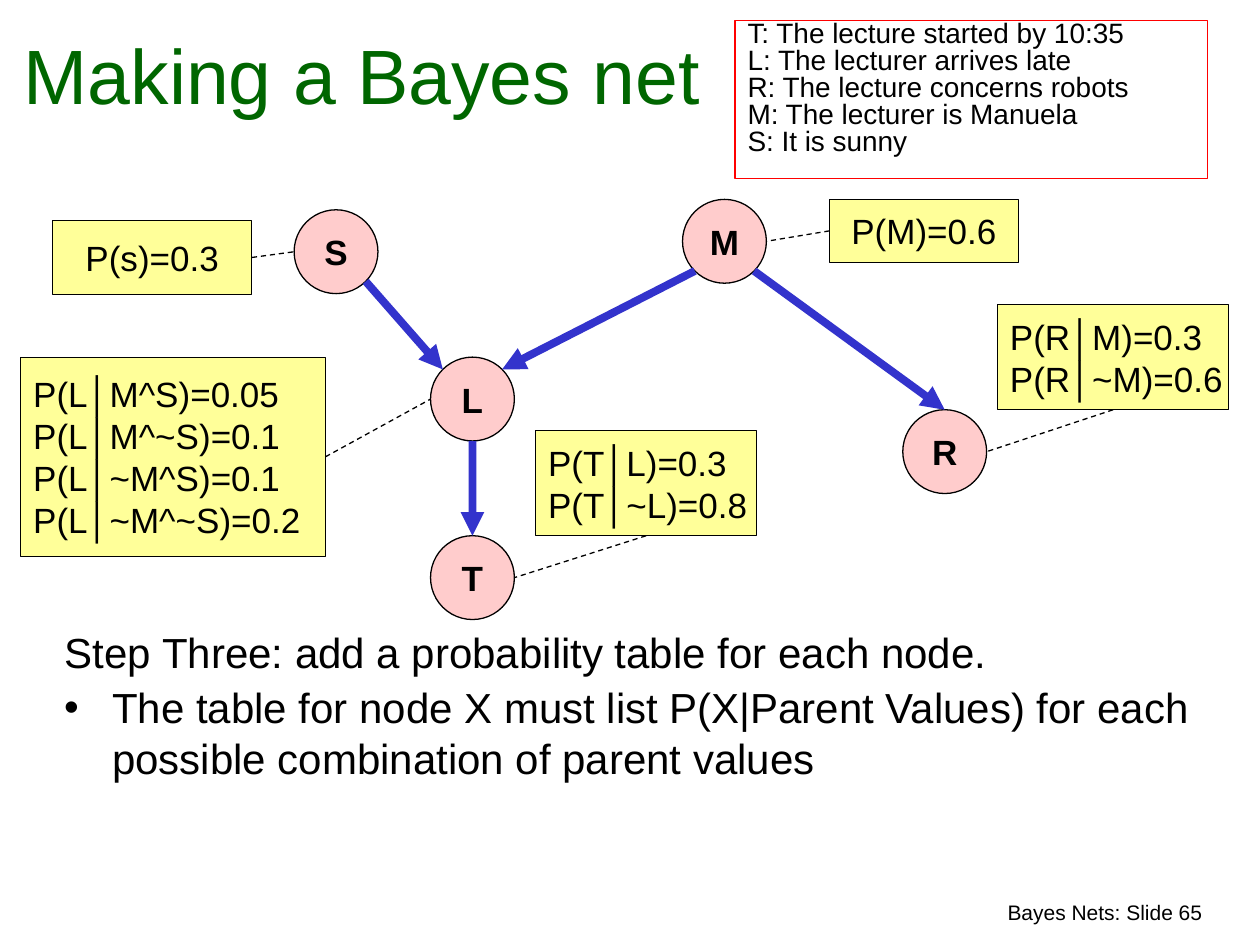
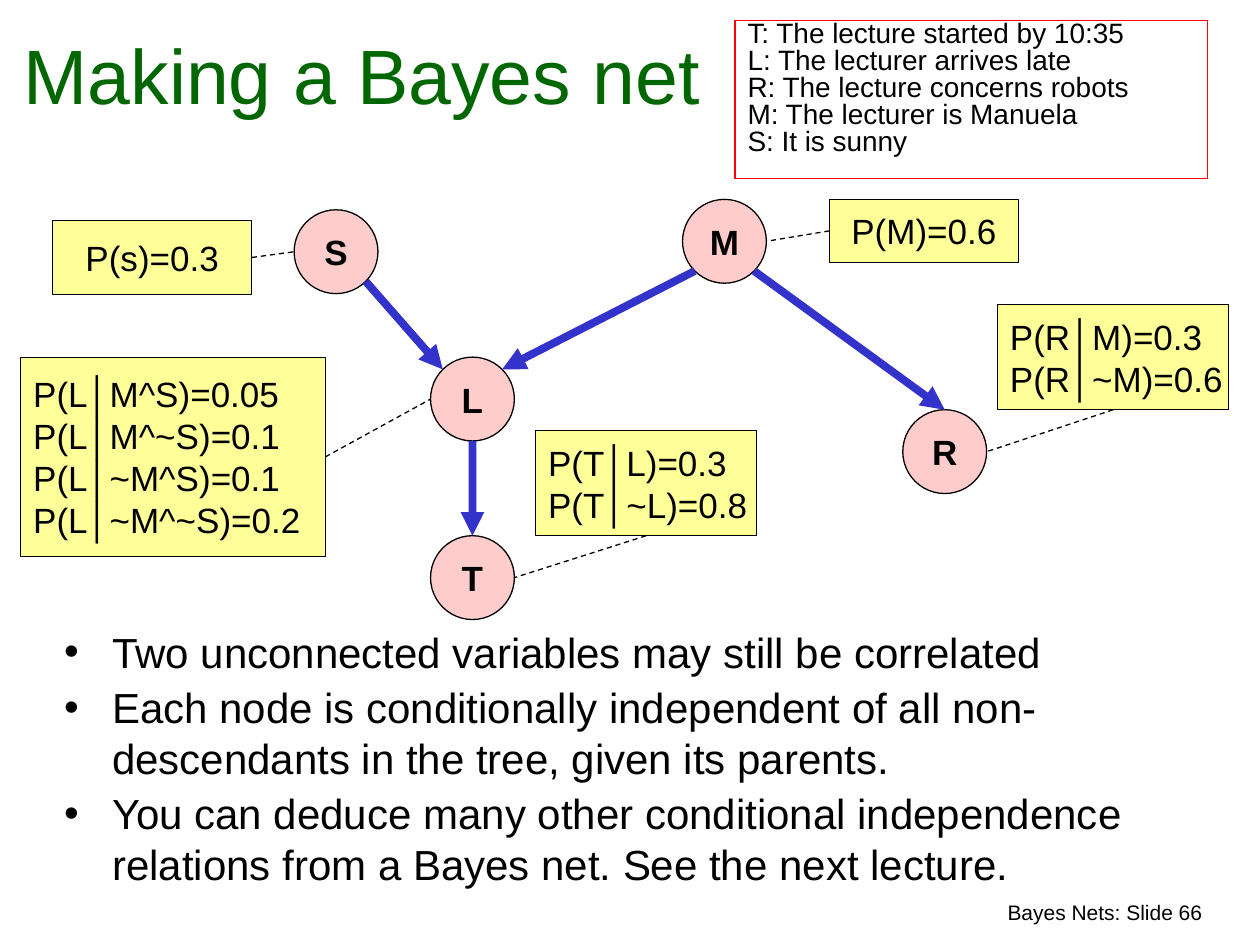
import math

from lxml import etree
from pptx import Presentation
from pptx import util as u
from pptx.dml.color import RGBColor
from pptx.enum import dml, shapes, text
from pptx.oxml import ns

FONT = "Arial"
BLACK, GREEN, RED = "000000", "006600", "FF0000"
PINK, YELLOW, BLUE = "FFCCCC", "FFFF99", "3333CC"
LEFT, CENTER, RIGHT = text.PP_ALIGN.LEFT, text.PP_ALIGN.CENTER, text.PP_ALIGN.RIGHT
HANGING = u.Cm(0.95)

# Node name: left and top in cm
NODE_SIZE = 1.69
NODES = {
    "S": (5.93, 4.23),
    "M": (13.76, 4.02),
    "R": (18.2, 8.26),
    "L": (8.68, 7.2),
    "T": (8.68, 10.8),
}

# Directions on a node, in degrees clockwise from its right side
EAST, SOUTH_EAST, SOUTH, SOUTH_WEST = 0, 45, 90, 135
WEST, NORTH_WEST, NORTH, NORTH_EAST = 180, 225, 270, 315

# Parent, direction it leaves by, child, direction it arrives at
INFLUENCES = [
    ("S", SOUTH_EAST, "L", NORTH_WEST),
    ("M", SOUTH_WEST, "L", NORTH_EAST),
    ("M", SOUTH_EAST, "R", NORTH),
    ("L", SOUTH, "T", NORTH),
]

# Node, box in cm, table side that is joined, direction on the node, rows
TABLE_TOP, TABLE_LEFT, TABLE_BOTTOM, TABLE_RIGHT = range(4)
PROBABILITIES = [
    ("S", (1.06, 4.45, 4.02, 1.48), TABLE_RIGHT, WEST, ["P(s)=0.3"]),
    ("M", (16.72, 4.02, 3.81, 1.27), TABLE_LEFT, EAST, ["P(M)=0.6"]),
    ("R", (20.11, 6.14, 4.66, 2.12), TABLE_BOTTOM, EAST,
     ["P(R│M)=0.3", "P(R│~M)=0.6"]),
    ("T", (10.8, 8.68, 4.45, 2.12), TABLE_BOTTOM, EAST,
     ["P(T│L)=0.3", "P(T│~L)=0.8"]),
    ("L", (0.42, 7.2, 6.14, 4.02), TABLE_RIGHT, WEST,
     ["P(L│M^S)=0.05", "P(L│M^~S)=0.1", "P(L│~M^S)=0.1", "P(L│~M^~S)=0.2"]),
]

VARIABLES = [
    "T: The lecture started by 10:35",
    "L: The lecturer arrives late",
    "R: The lecture concerns robots",
    "M: The lecturer is Manuela",
    "S: It is sunny",
]

# Slide number, height of the notes in cm, (bulleted, wording) of each note
SLIDES = [
    (65, 3.4, [
        (False, "Step Three: add a probability table for each node."),
        (True, "The table for node X must list P(X|Parent Values) for each "
               "possible combination of parent values"),
    ]),
    (66, 5.56, [
        (True, "Two unconnected variables may still be correlated"),
        (True, "Each node is conditionally independent of all "
               "non-descendants in the tree, given its parents."),
        (True, "You can deduce many other conditional independence relations "
               "from a Bayes net. See the next lecture."),
    ]),
]


def rgb(color):
    return RGBColor.from_string(color)


def cm(*lengths):
    return [u.Cm(length) for length in lengths]


def write(frame, lines, size, color=BLACK, bold=False, align=LEFT,
          before=0, spacing=None):
    """Fill a text frame with one paragraph for each line."""
    for number, line in enumerate(lines):
        paragraph = frame.add_paragraph() if number else frame.paragraphs[0]
        paragraph.alignment = align
        paragraph.space_before = u.Pt(before)
        if spacing:
            paragraph.line_spacing = spacing
        run = paragraph.add_run()
        run.text = line
        run.font.name = FONT
        run.font.size = u.Pt(size)
        run.font.bold = bold
        run.font.color.rgb = rgb(color)


def add_text(slide, box, lines, size, anchor=text.MSO_ANCHOR.TOP, **style):
    frame = slide.shapes.add_textbox(*cm(*box)).text_frame
    frame.word_wrap = True
    frame.vertical_anchor = anchor
    write(frame, lines, size, **style)
    return frame


def add_panel(slide, preset, box, fill, line, weight):
    panel = slide.shapes.add_shape(preset, *cm(*box))
    panel.shadow.inherit = False
    if fill:
        panel.fill.solid()
        panel.fill.fore_color.rgb = rgb(fill)
    else:
        panel.fill.background()
    panel.line.color.rgb = rgb(line)
    panel.line.width = u.Pt(weight)
    return panel


def add_node(slide, name, left, top):
    node = add_panel(slide, shapes.MSO_SHAPE.OVAL,
                     (left, top, NODE_SIZE, NODE_SIZE), PINK, BLACK, 0.75)
    node.text_frame.word_wrap = False
    write(node.text_frame, [name], 20, bold=True, align=CENTER, before=5)


def add_probability_table(slide, box, rows):
    table = add_panel(slide, shapes.MSO_SHAPE.RECTANGLE, box, YELLOW, BLACK, 0.5)
    table.text_frame.word_wrap = False
    if len(rows) == 1:
        write(table.text_frame, rows, 20, align=CENTER, before=5)
    else:
        write(table.text_frame, rows, 20)
    return table


def rim_point(name, direction):
    """Point in cm on the rim of a node, in the given direction."""
    left, top = NODES[name]
    radius = NODE_SIZE / 2
    angle = math.radians(direction)
    return (left + radius * (1 + math.cos(angle)),
            top + radius * (1 + math.sin(angle)))


def add_link(slide, start, end, color, weight):
    link = slide.shapes.add_connector(shapes.MSO_CONNECTOR.STRAIGHT,
                                      *cm(*start, *end))
    link.line.color.rgb = rgb(color)
    link.line.width = u.Pt(weight)
    etree.SubElement(link._element.spPr, ns.qn("a:effectLst"))
    return link


def add_influence(slide, parent, leaving, child, arriving):
    arrow = add_link(slide, rim_point(parent, leaving),
                     rim_point(child, arriving), BLUE, 4.5)
    outline = arrow.line._get_or_add_ln()
    etree.SubElement(outline, ns.qn("a:tailEnd"), type="triangle")


def add_table_link(slide, table, side, name, direction):
    point = rim_point(name, direction)
    link = add_link(slide, point, point, BLACK, 0.75)
    link.line.dash_style = dml.MSO_LINE.DASH
    link.begin_connect(table, side)


def add_network(slide):
    for name, corner in NODES.items():
        add_node(slide, name, *corner)
    tables = [add_probability_table(slide, box, rows)
              for _, box, _, _, rows in PROBABILITIES]
    for influence in INFLUENCES:
        add_influence(slide, *influence)
    for table, (name, _, side, direction, _) in zip(tables, PROBABILITIES):
        add_table_link(slide, table, side, name, direction)


def add_notes(slide, height, notes):
    """Add the hanging paragraphs below the network."""
    frame = add_text(slide, (1.06, 12.5, 23.28, height),
                     [wording for _, wording in notes], 24, before=3)
    for paragraph, (bulleted, _) in zip(frame.paragraphs, notes):
        properties = paragraph._p.get_or_add_pPr()
        properties.set("marL", str(HANGING))
        properties.set("indent", str(-HANGING))
        if bulleted:
            bullet_color = etree.SubElement(properties, ns.qn("a:buClr"))
            etree.SubElement(bullet_color, ns.qn("a:srgbClr"), val=BLACK)
            etree.SubElement(properties, ns.qn("a:buFont"), typeface=FONT)
            etree.SubElement(properties, ns.qn("a:buChar"), char="•")


def add_variables(slide):
    legend = add_panel(slide, shapes.MSO_SHAPE.RECTANGLE,
                       (14.82, 0.42, 9.53, 3.18), None, RED, 0.75)
    legend.text_frame.vertical_anchor = text.MSO_ANCHOR.TOP
    write(legend.text_frame, VARIABLES, 16, before=4, spacing=0.6)


def main():
    deck = Presentation()
    deck.slide_width, deck.slide_height = cm(25.4, 19.05)
    blank = deck.slide_layouts[6]
    for number, notes_height, notes in SLIDES:
        slide = deck.slides.add_slide(blank)
        add_text(slide, (14.52, 18, 9.97, 0.77), [f"Bayes Nets: Slide {number}"],
                 12, align=RIGHT, before=7.5)
        add_text(slide, (0, 0.42, 14.6, 2.12), ["Making a Bayes net"], 44,
                 anchor=text.MSO_ANCHOR.BOTTOM, color=GREEN, align=CENTER)
        add_network(slide)
        add_notes(slide, notes_height, notes)
        add_variables(slide)
    deck.save("out.pptx")


if __name__ == "__main__":
    main()
